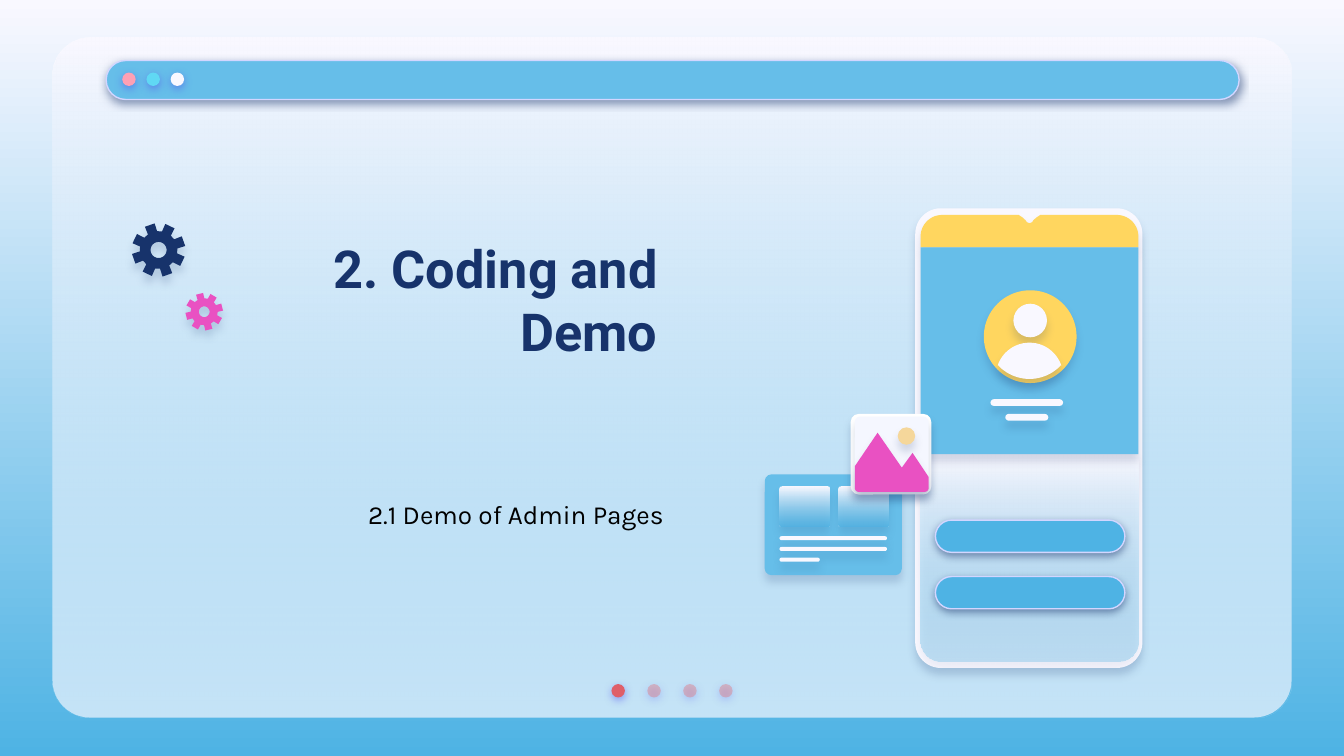
"""Build the section slide "2. Coding and Demo" with a phone mock-up."""
import math

import lxml.etree
import pptx
import pptx.dml.color
import pptx.enum.shapes
import pptx.enum.text
import pptx.oxml.ns
import pptx.util

Inches = pptx.util.Inches
qn = pptx.oxml.ns.qn
RGB = pptx.dml.color.RGBColor.from_string
SHAPE = pptx.enum.shapes.MSO_SHAPE
ALIGN = pptx.enum.text.PP_ALIGN
ANCHOR = pptx.enum.text.MSO_ANCHOR

THEME = {
    "fills": {
        "page": ("F9F8FF", "4EB3E4", 100),
        "glass": ("F9F8FF", "66BEE9", 35),
        "tile": ("F9F8FF", "4EB3E4", 58),
        "pale": ("F9F8FF", 100),
        "white": ("FFFFFF", 100),
        "mist": ("F5F7FF", 100),
        "sky": ("66BEE9", 100),
        "button": ("4EB3E4", 100),
        "cyan": ("60D8F4", 100),
        "rose": ("FDA0B4", 100),
        "red": ("DF5F69", 100),
        "faded": ("E27B83", 44),
        "yellow": ("FFD65F", 100),
        "sun": ("F5D79B", 100),
        "pink": ("E951C2", 100),
        "navy": ("17336B", 100),
    },
    "shadows": {
        "glow": ("5352EE", 50, 4.5, 1.5),
        "edge": ("17336B", 50, 4.5, 1.5),
        "soft": ("17336B", 16, 4.5, 3.8),
    },
    "outline": ("D2D6FF", 0.75),
    "title": {"name": "Roboto", "size": pptx.util.Pt(28), "bold": True, "color": "17336B"},
    "body": {"name": "Karla", "size": pptx.util.Pt(14), "bold": False, "color": "000000"},
}

TEXTS = [
    ("2. Coding and Demo", "title", (1.92, 1.83, 3.07, 0.79),
     {"vertical_anchor": ANCHOR.MIDDLE, "margin_top": Inches(0.1), "margin_bottom": Inches(0.1)},
     ALIGN.RIGHT),
    ("2.1 Demo of Admin Pages", "body", (2.64, 3.66, 2.92, 0.57),
     {"vertical_anchor": ANCHOR.TOP}, ALIGN.LEFT),
]

# kind, geometry, fill, shadow
FRAME = [
    ("round", (0.39, 0.28, 9.22, 5.06, 0.28), "pale", None),
    ("round", (0.39, 0.28, 9.22, 5.06, 0.28), "glass", None),
    *[("oval", (4.55 + 0.267 * i, 5.09, 0.1, 0.1), fill, "glow")
      for i, fill in enumerate(["red", "faded", "faded", "faded"])],
    ("round", (0.79, 0.45, 8.43, 0.29, 0.145), "sky", "edge"),
    *[("oval", (0.91 + 0.18 * i, 0.54, 0.1, 0.1), fill, "glow")
      for i, fill in enumerate(["rose", "cyan", "pale"])],
]
BROWSER_CARD = [
    ("round", (5.69, 3.53, 1.02, 0.75, 0.05), "sky", "soft"),
    *[("round", (x, 3.62, 0.37, 0.3, 0.02), "tile", "soft") for x in (5.8, 6.24)],
    *[("round", (5.8, 3.99 + 0.08 * i, w, 0.03, 0.015), "pale", "soft")
      for i, w in enumerate([0.8, 0.8, 0.3])],
]
PHONE = [
    ("round", (6.81, 1.55, 1.69, 3.42, 0.19), "pale", "soft"),
    ("outline", [(6.85, 3.38), (8.47, 3.38), (8.31, 4.76, 0.16, 0, 90),
                 (7.01, 4.76, 0.16, 90, 180)], "glass", "soft"),
    ("outline", [(6.85, 1.84), (7.01, 1.76, 0.16, 180, 270), (7.58, 1.6), (7.61, 1.62),
                 (7.66, 1.63, 0.03, 160, 20), (7.71, 1.62), (7.74, 1.6),
                 (8.31, 1.76, 0.16, 270, 360), (8.47, 1.84)], "yellow", "soft"),
    ("rect", (6.85, 1.84, 1.62, 1.54), "sky", "soft"),
    ("oval", (7.32, 2.16, 0.69, 0.69), "yellow", "soft"),
    ("oval", (7.54, 2.26, 0.25, 0.25), "pale", "soft"),
    ("outline", [(7.66, 2.8, 0.25, 199, 341), (7.66, 2.5, 0.32, 43, 137)], "pale", "soft"),
    ("round", (7.37, 2.97, 0.54, 0.05, 0.025), "pale", "soft"),
    ("round", (7.48, 3.08, 0.32, 0.05, 0.025), "pale", "soft"),
    *[("round", (6.96, y, 1.41, 0.24, 0.12), "button", "edge") for y in (3.87, 4.29)],
]
PHOTO_ICON = [
    ("round", (6.33, 3.08, 0.6, 0.6, 0.06), "white", "soft"),
    ("round", (6.36, 3.1, 0.55, 0.55, 0.04), "mist", "soft"),
    ("outline", [(6.36, 3.47), (6.53, 3.22), (6.71, 3.48), (6.79, 3.37), (6.91, 3.55),
                 (6.88, 3.63, 0.03, 0, 90), (6.39, 3.63, 0.03, 90, 180)], "pink", "soft"),
    ("oval", (6.68, 3.18, 0.13, 0.13), "sun", "soft"),
]
GEARS = [
    ("gear", (1.18, 1.86, 0.2, 0.14, 0.06, -19.5), "navy", "soft"),
    ("gear", (1.52, 2.32, 0.14, 0.1, 0.04, -14.5), "pink", "soft"),
]
PRESETS = {"round": SHAPE.ROUNDED_RECTANGLE, "rect": SHAPE.RECTANGLE, "oval": SHAPE.OVAL}


def polar(cx, cy, r, deg):
    a = math.radians(deg)
    return cx + r * math.cos(a), cy + r * math.sin(a)


def arc(cx, cy, r, start, end, steps=24):
    return [polar(cx, cy, r, start + (end - start) * i / steps) for i in range(steps + 1)]


def trace(items):
    return [pt for item in items for pt in (arc(*item) if len(item) == 5 else [item])]


def gear_contours(cx, cy, outer, root, hole, turn, teeth=8):
    profile = [(root, -15), (outer, -11), (outer, 11), (root, 15)]
    rim = [polar(cx, cy, r, turn - 90 + 360 / teeth * i + deg)
           for i in range(teeth) for r, deg in profile]
    return [rim, arc(cx, cy, hole, 360, 0)]


def add_outline(s, contours):
    first, *rest = [[(Inches(x), Inches(y)) for x, y in c] for c in contours]
    fb = s.shapes.build_freeform(*first[0])
    fb.add_line_segments(first[1:])
    for contour in rest:
        fb.move_to(*contour[0])
        fb.add_line_segments(contour[1:])
    return fb.convert_to_shape()


def set_alpha(clr, percent):
    if percent < 100:
        lxml.etree.SubElement(clr, qn("a:alpha"), val=str(percent * 1000))


def paint(fill, element, name):
    *colors, alpha = THEME["fills"][name]
    if len(colors) == 1:
        fill.solid()
        fill.fore_color.rgb = RGB(colors[0])
    else:
        fill.gradient()
        fill.gradient_angle = 270
        for stop, color in zip(fill.gradient_stops, colors):
            stop.color.rgb = RGB(color)
    set_alpha(list(element.iter(qn("a:srgbClr")))[-1], alpha)


def cast_shadow(sp, name):
    sp.shadow.inherit = False
    if name:
        color, alpha, blur, dist = THEME["shadows"][name]
        effects = sp.element.spPr.find(qn("a:effectLst"))
        shadow = lxml.etree.SubElement(
            effects, qn("a:outerShdw"), blurRad=str(pptx.util.Pt(blur)),
            dist=str(pptx.util.Pt(dist)), dir="5400000", algn="bl", rotWithShape="0")
        set_alpha(lxml.etree.SubElement(shadow, qn("a:srgbClr"), val=color), alpha)


def add_part(s, kind, geometry, fill, shadow):
    if kind == "gear":
        sp = add_outline(s, gear_contours(*geometry))
    elif kind == "outline":
        sp = add_outline(s, [trace(geometry)])
    else:
        sp = s.shapes.add_shape(PRESETS[kind], *map(Inches, geometry[:4]))
        if kind == "round":
            sp.adjustments[0] = geometry[4] / min(geometry[2:4])
    paint(sp.fill, sp.element, fill)
    if shadow == "edge":
        color, width = THEME["outline"]
        sp.line.color.rgb = RGB(color)
        sp.line.width = pptx.util.Pt(width)
    else:
        sp.line.fill.background()
    cast_shadow(sp, shadow)


def add_text(s, text, style, box, frame, align):
    tf = s.shapes.add_textbox(*map(Inches, box)).text_frame
    for key, value in {"word_wrap": True, **frame}.items():
        setattr(tf, key, value)
    p = tf.paragraphs[0]
    p.alignment = align
    r = p.add_run()
    r.text = text
    for key, value in THEME[style].items():
        if key == "color":
            r.font.color.rgb = RGB(value)
        else:
            setattr(r.font, key, value)


def main():
    prs = pptx.Presentation()
    prs.slide_width, prs.slide_height = Inches(10), Inches(10) * 9 // 16
    s = prs.slides.add_slide(prs.slide_layouts[6])
    paint(s.background.fill, s.element, "page")
    for part in FRAME + BROWSER_CARD + PHONE + PHOTO_ICON + GEARS:
        add_part(s, *part)
    for text in TEXTS:
        add_text(s, *text)
    prs.save("out.pptx")


if __name__ == "__main__":
    main()
